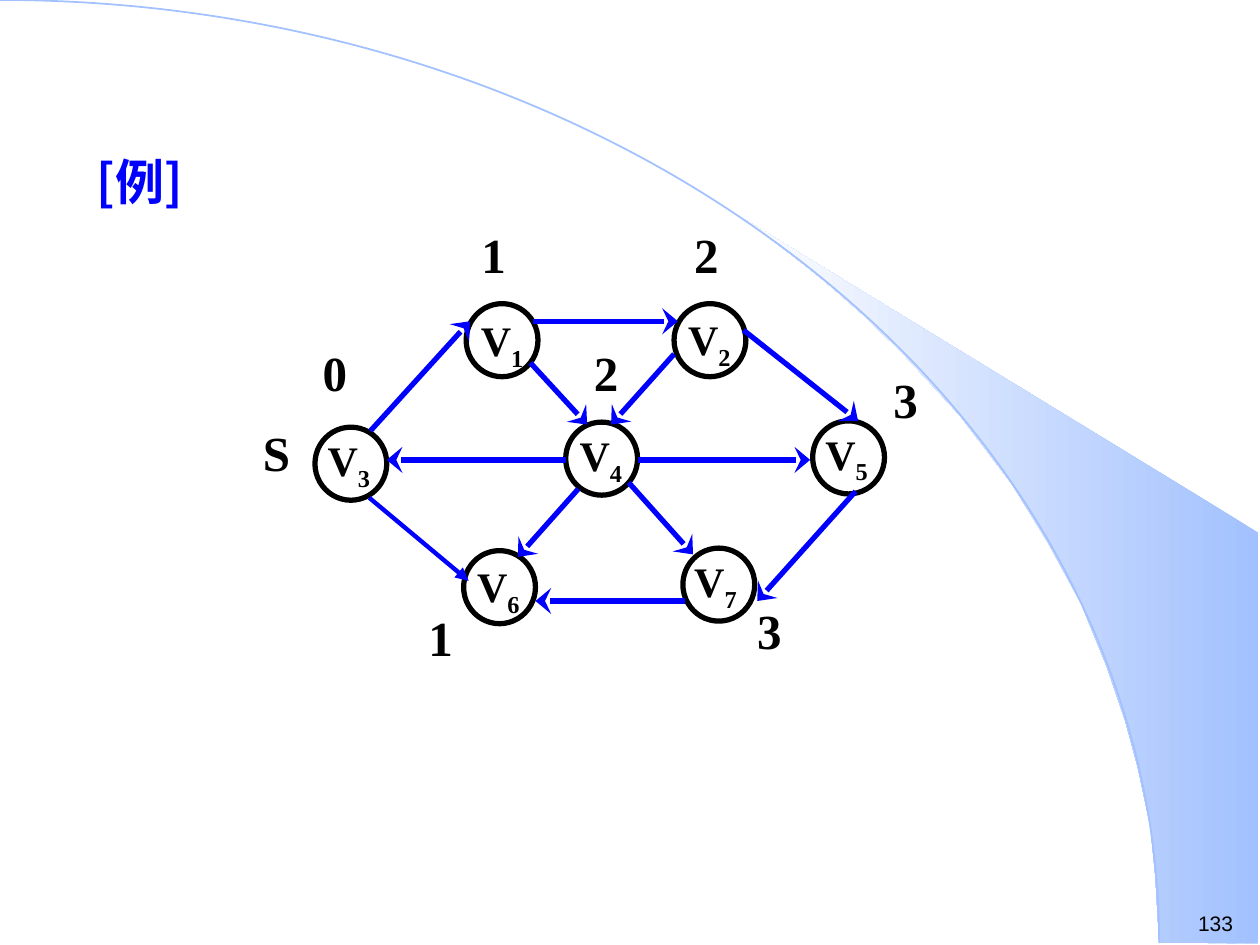
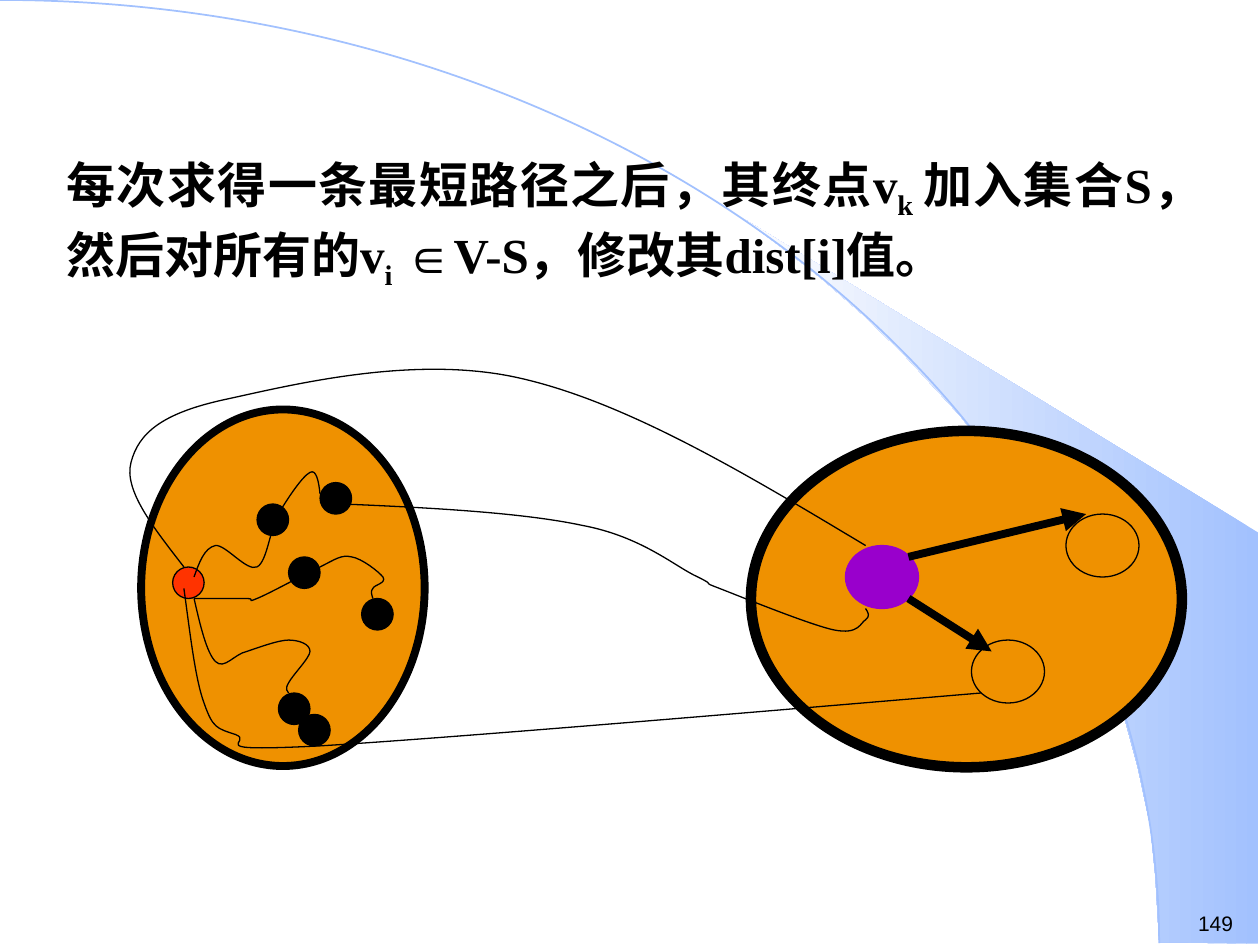
from typing import Any, NamedTuple, Optional

from lxml import etree
from pptx import Presentation
from pptx import util as u
from pptx.dml.color import RGBColor
from pptx.enum import shapes, text
from pptx.oxml.ns import qn

PX = 9144
BLACK = RGBColor(0x00, 0x00, 0x00)
BLUE = RGBColor(0x00, 0x00, 0xFF)
SKY = RGBColor(0xA2, 0xC1, 0xFE)
PALE = RGBColor(0xFE, 0xFE, 0xFE)
AMBER = RGBColor(0xEF, 0x91, 0x00)
RED = RGBColor(0xFF, 0x33, 0x00)
PURPLE = RGBColor(0x99, 0x00, 0xCC)
SERIF = "Times New Roman"
SANS = "Arial"
HAN = "Noto Sans CJK SC"
LEFT = text.PP_ALIGN.LEFT
MID = text.PP_ALIGN.CENTER
FULL = text.PP_ALIGN.JUSTIFY
OVAL = shapes.MSO_SHAPE.OVAL
ARC = shapes.MSO_SHAPE.ARC

BOLD = {"name": SERIF, "size": u.Pt(28), "bold": True}
SMALL = {**BOLD, "size": u.Pt(24)}
TITLE = {**BOLD, "name": HAN}
FOOT = {"name": SANS, "size": u.Pt(12), "bold": False}

Point = tuple[int, int]


class Box(NamedTuple):
    x: int
    y: int
    w: int
    h: int


class Run(NamedTuple):
    words: str
    base: int = 0
    face: Optional[str] = None
    gap: int = 0


class Form(NamedTuple):
    box: Box
    fill: Optional[RGBColor] = None
    line: RGBColor = BLACK
    width: float = 0.75
    kind: Any = OVAL


class Node(NamedTuple):
    name: str
    ring: Point
    tag: Box
    align: Any = FULL


class Mark(NamedTuple):
    words: str
    box: Box
    align: Any = FULL


class Edge(NamedTuple):
    start: Point
    end: Point
    color: RGBColor = BLUE
    width: float = 3
    head: str = "stealth"
    span: str = "lg"


BAND = [(920, 748), (999, 749), (999, 423), (589, 173), (624, 199), (653, 222),
        (685, 250), (716, 280), (762, 330), (803, 384), (832, 431), (858, 479),
        (878, 528), (893, 572), (903, 609), (913, 656), (917, 696), (920, 748)]
SWEEP = Form(Box(-920, 0, 1840, 1497), line=SKY, width=1, kind=ARC)

NODES = [
    Node("1", (370, 241), Box(370, 250, 57, 46), MID),
    Node("2", (535, 241), Box(538, 249, 50, 50), MID),
    Node("3", (250, 339), Box(260, 345, 63, 68)),
    Node("4", (449, 335), Box(460, 341, 54, 52)),
    Node("5", (645, 334), Box(655, 340, 53, 84)),
    Node("6", (368, 437), Box(360, 445, 71, 75), MID),
    Node("7", (542, 435), Box(551, 441, 66, 57)),
]
MARKS = [
    Mark("1", Box(382, 178, 42, 52)),
    Mark("2", Box(551, 178, 19, 35)),
    Mark("0", Box(256, 272, 52, 49)),
    Mark("2", Box(456, 272, 50, 53), MID),
    Mark("3", Box(709, 293, 51, 60)),
    Mark("S", Box(193, 335, 53, 87), MID),
    Mark("1", Box(340, 482, 45, 79)),
    Mark("3", Box(601, 477, 34, 47)),
]
EDGES = [
    Edge((294, 342), (373, 255)),
    Edge((423, 255), (538, 255)),
    Edge((590, 262), (681, 334)),
    Edge((679, 390), (601, 477)),
    Edge((544, 477), (425, 477)),
    Edge((449, 365), (307, 365)),
    Edge((506, 365), (643, 365)),
    Edge((421, 288), (466, 337)),
    Edge((535, 281), (485, 337)),
    Edge((459, 388), (411, 442)),
    Edge((499, 383), (550, 440)),
    Edge((293, 395), (372, 461), BLUE, 2.5, "triangle", "med"),
]

RULE = [
    Run("每次求得一条最短路径之后，其终点v"), Run("k ", -25),
    Run("加入集合S，然后对所有的v"), Run("i ", -25, gap=150),
    Run("∈", face=SANS), Run("V-S，修改其dist[i]值。"),
]
SETS = [
    Form(Box(112, 325, 225, 283), AMBER, width=4.5),
    Form(Box(596, 342, 342, 267), AMBER, width=6),
]
DOTS = [(287, 475), (221, 550), (254, 383), (229, 442), (204, 400), (237, 567)]
SPOTS = [
    *(Form(Box(x, y, 25, 25), BLACK) for x, y in DOTS),
    Form(Box(137, 450, 25, 25), RED),
]
GOALS = [
    Form(Box(771, 508, 58, 50), AMBER),
    Form(Box(846, 408, 58, 50), AMBER),
    Form(Box(671, 433, 58, 50), PURPLE, PURPLE),
]
INNER = [
    [(154, 458), (158, 447), (162, 435), (171, 433), (179, 432), (196, 454),
     (204, 450), (212, 446), (214, 421), (221, 408), (228, 396), (240, 378),
     (246, 375), (251, 372), (253, 382), (254, 392)],
    [(154, 475), (159, 497), (164, 518), (171, 525), (178, 532), (186, 519),
     (196, 517), (205, 514), (221, 508), (229, 508), (237, 508), (246, 511),
     (246, 517), (246, 522), (232, 536), (229, 542), (226, 547), (228, 549),
     (229, 550)],
    [(154, 475), (171, 475), (187, 475), (196, 475), (204, 475), (194, 479),
     (204, 475), (214, 471), (241, 456), (254, 450), (266, 444), (271, 440),
     (279, 442), (287, 443), (301, 454), (304, 458), (307, 463), (297, 464),
     (296, 467), (294, 469), (295, 472), (296, 475)],
]
OUTER = [
    [(146, 450), (122, 419), (98, 389), (104, 367), (110, 344), (128, 328),
     (179, 317), (230, 306), (328, 281), (412, 300), (497, 319), (592, 376),
     (687, 433)],
    [(271, 400), (343, 403), (415, 407), (462, 417), (510, 426), (536, 450),
     (554, 458), (572, 467), (553, 460), (571, 467), (589, 474), (643, 496),
     (662, 500), (682, 504), (683, 494), (687, 492), (691, 489), (689, 486),
     (687, 483)],
    [(146, 467), (151, 503), (155, 539), (162, 558), (169, 578), (172, 578),
     (187, 583), (203, 589), (155, 597), (254, 592), (353, 586), (566, 568),
     (779, 550)],
]
LINKS = [
    Edge((721, 442), (862, 408), BLACK, 4.5, "triangle", "med"),
    Edge((721, 475), (787, 517), BLACK, 4.5, "triangle", "med"),
]


def emu(*vals: int) -> list[int]:
    return [v * PX for v in vals]


def apply(target: Any, form: dict[str, Any]) -> None:
    for key, val in form.items():
        setattr(target, key, val)


def ink(shape: Any, color: RGBColor, width: float) -> None:
    shape.line.color.rgb = color
    shape.line.width = u.Pt(width)


def write(slide: Any, box: Box, runs: list[Run], form: dict[str, Any],
          color: RGBColor = BLACK, align: Any = LEFT, inset: Point = (0, 0),
          space: Optional[float] = None) -> None:
    frame = slide.shapes.add_textbox(*emu(*box)).text_frame
    across, down = emu(*inset)
    apply(frame, {"word_wrap": True, "margin_left": across, "margin_right": across,
                  "margin_top": down, "margin_bottom": down})
    para = frame.paragraphs[0]
    apply(para, {"alignment": align, "line_spacing": space})
    for item in runs:
        run = para.add_run()
        run.text = item.words
        apply(run.font, {**form, "name": item.face or form["name"]})
        run.font.color.rgb = color
        props = run.font._element
        for key, val in (("baseline", item.base * 1000), ("spc", item.gap)):
            if val:
                props.set(key, str(val))
        etree.SubElement(props, qn("a:ea")).set("typeface", HAN)


def draw_form(slide: Any, form: Form) -> None:
    shape = slide.shapes.add_shape(form.kind, *emu(*form.box))
    shape.shadow.inherit = False
    if form.fill is None:
        shape.fill.background()
    else:
        shape.fill.solid()
        shape.fill.fore_color.rgb = form.fill
    ink(shape, form.line, form.width)


def draw_edge(slide: Any, edge: Edge) -> None:
    line = slide.shapes.add_connector(
        shapes.MSO_CONNECTOR.STRAIGHT, *emu(*edge.start, *edge.end))
    ink(line, edge.color, edge.width)
    props = line._element.spPr
    tip = etree.SubElement(props.find(qn("a:ln")), qn("a:tailEnd"))
    for key, val in (("type", edge.head), ("w", edge.span), ("len", "med")):
        tip.set(key, val)
    etree.SubElement(props, qn("a:effectLst"))


def trace(slide: Any, knots: list[Point]) -> Any:
    pen = slide.shapes.build_freeform(*knots[0], scale=PX)
    pen.add_line_segments(knots[1:], close=False)
    shape = pen.convert_to_shape()
    shape.shadow.inherit = False
    return shape


def draw_curve(slide: Any, knots: list[Point]) -> None:
    shape = trace(slide, knots)
    legs = list(shape._element.iter(qn("a:lnTo")))
    for i in range(0, len(legs), 3):
        bend = etree.Element(qn("a:cubicBezTo"))
        legs[i].addprevious(bend)
        for leg in legs[i:i + 3]:
            bend.append(leg[0])
            leg.getparent().remove(leg)
    shape.fill.background()
    ink(shape, BLACK, 0.75)


def new_slide(deck: Any, page: int) -> Any:
    slide = deck.slides.add_slide(deck.slide_layouts[6])
    band = trace(slide, BAND)
    band.line.fill.background()
    band.fill.gradient()
    band.fill.gradient_angle = 180
    for stop, color, place in zip(band.fill.gradient_stops, (SKY, PALE), (0, 1)):
        stop.color.rgb = color
        stop.position = place
    draw_form(slide, SWEEP)
    write(slide, Box(941, 718, 59, 30), [Run(str(page))], FOOT, inset=(10, 5))
    return slide


def graph_slide(deck: Any) -> None:
    slide = new_slide(deck, 133)
    write(slide, Box(67, 115, 575, 66), [Run("[例]")], TITLE, BLUE, FULL, (10, 5))
    for node in NODES:
        draw_form(slide, Form(Box(*node.ring, 57, 58), width=3))
        write(slide, node.tag, [Run("V"), Run(node.name, -25)], SMALL,
              align=node.align)
    for mark in MARKS:
        write(slide, mark.box, [Run(mark.words)], BOLD, align=mark.align)
    for edge in EDGES:
        draw_edge(slide, edge)


def set_slide(deck: Any) -> None:
    slide = new_slide(deck, 149)
    write(slide, Box(43, 115, 921, 122), RULE, BOLD, align=FULL, inset=(10, 5),
          space=1.05)
    for form in SETS + SPOTS:
        draw_form(slide, form)
    for knots in INNER + OUTER[:2]:
        draw_curve(slide, knots)
    for form in GOALS:
        draw_form(slide, form)
    draw_curve(slide, OUTER[2])
    for edge in LINKS:
        draw_edge(slide, edge)


def main() -> None:
    deck = Presentation()
    deck.slide_width, deck.slide_height = emu(1000, 750)
    graph_slide(deck)
    set_slide(deck)
    deck.save("out.pptx")


if __name__ == "__main__":
    main()
